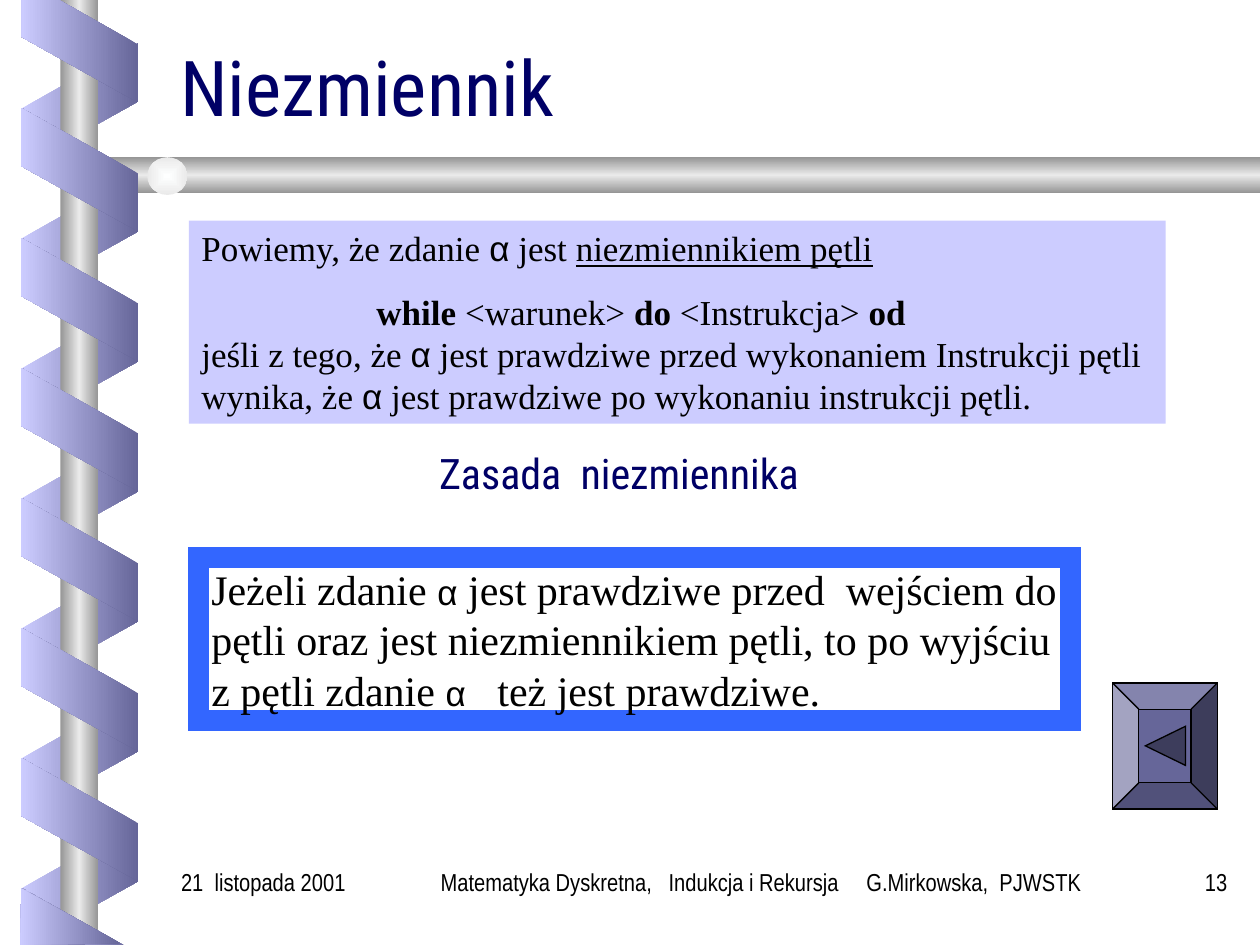
from dataclasses import dataclass
from typing import NamedTuple

from lxml import etree
from pptx import Presentation
from pptx.dml.color import RGBColor
from pptx.enum.shapes import MSO_SHAPE
from pptx.enum.text import MSO_ANCHOR, PP_ALIGN
from pptx.oxml.ns import qn
from pptx.util import Cm, Pt

RECT, OVAL = MSO_SHAPE.RECTANGLE, MSO_SHAPE.OVAL
SLANT, BEVEL = MSO_SHAPE.PARALLELOGRAM, MSO_SHAPE.BEVEL
ARROW = MSO_SHAPE.ISOSCELES_TRIANGLE
TOP, BOTTOM = MSO_ANCHOR.TOP, MSO_ANCHOR.BOTTOM
LEFT, CENTER, RIGHT = PP_ALIGN.LEFT, PP_ALIGN.CENTER, PP_ALIGN.RIGHT


@dataclass(frozen=True)
class Theme:
    ink: str = "000000"
    navy: str = "000066"
    light: str = "CCCCFF"
    dark: str = "666699"
    shade: str = "3D3D5C"
    frame: str = "3366FF"
    grey: str = "969696"
    shine: str = "EAEAEA"
    pearl: str = "FEFFFF"
    head: str = "Roboto Condensed"
    body: str = "Times New Roman"
    sign: str = "Arial"
    foot: str = "Arial Narrow"
    title: int = 44
    big: int = 24
    mid: int = 20
    small: int = 14


T = Theme()


class Box(NamedTuple):
    left: float
    top: float
    width: float
    height: float

    def cm(self) -> list:
        return [Cm(v) for v in self]


class Run(NamedTuple):
    text: str
    size: int = T.mid
    font: str = T.body
    color: str = T.ink
    bold: bool = False
    under: bool = False


class Para(NamedTuple):
    runs: list
    align: PP_ALIGN = LEFT
    before: float = 0
    indent: float = 0
    pitch: float = 1.0


class Note(NamedTuple):
    text: str
    box: Box
    align: PP_ALIGN


def blend(shape, stops: list, angle: int | None) -> None:
    """Fill with a gradient fixed to the slide; no angle means from the centre."""
    shape.fill.background()
    grad = etree.Element(qn("a:gradFill"), rotWithShape="0")
    parts = etree.SubElement(grad, qn("a:gsLst"))
    for i, color in enumerate(stops):
        pos = 100000 * i // (len(stops) - 1)
        stop = etree.SubElement(parts, qn("a:gs"), pos=str(pos))
        etree.SubElement(stop, qn("a:srgbClr"), val=color)
    if angle is None:
        way = etree.SubElement(grad, qn("a:path"), path="rect")
        etree.SubElement(way, qn("a:fillToRect"), l="50000", t="50000", r="50000", b="50000")
    else:
        etree.SubElement(grad, qn("a:lin"), ang=str(angle * 60000), scaled="0")
    props = shape.fill._xPr
    props.replace(props.find(qn("a:noFill")), grad)


def plain(shape, fill: str | None = None, line: str | None = None, width: float = 0.75):
    shape.shadow.inherit = False
    if fill:
        shape.fill.solid()
        shape.fill.fore_color.rgb = RGBColor.from_string(fill)
    else:
        shape.fill.background()
    if line:
        shape.line.color.rgb = RGBColor.from_string(line)
        shape.line.width = Pt(width)
        etree.SubElement(shape.line._get_or_add_ln(), qn("a:miter"), lim="800000")
    else:
        shape.line.fill.background()
    return shape


def form(shapes, kind, box: Box, **look):
    return plain(shapes.add_shape(kind, *box.cm()), **look)


def outline(shapes, dots: list):
    first, *rest = [(Cm(x), Cm(y)) for x, y in dots]
    pen = shapes.build_freeform(*first)
    pen.add_line_segments(rest, close=True)
    return plain(pen.convert_to_shape())


def write(shape, paras: list, anchor=TOP, wrap: bool = True) -> None:
    frame = shape.text_frame
    frame.word_wrap = wrap
    frame.vertical_anchor = anchor
    for i, para in enumerate(paras):
        line = frame.paragraphs[0] if i == 0 else frame.add_paragraph()
        line.alignment = para.align
        line.space_before = Pt(para.before)
        line.line_spacing = para.pitch
        if para.indent:
            line._p.get_or_add_pPr().set("marL", str(Cm(para.indent)))
        for part in para.runs:
            run = line.add_run()
            run.text = part.text
            font = run.font
            font.size, font.name = Pt(part.size), part.font
            font.bold, font.underline = part.bold, part.under
            font.color.rgb = RGBColor.from_string(part.color)


def strand(shapes, top: float, back: bool) -> None:
    """Draw the seven slanted bands of one side of the spiral."""
    for i in range(7):
        band = form(shapes, SLANT, Box(0.36, top + 2.62 * i, 2.49, 2.36))
        band.adjustments[0] = 0.56
        band.rotation = 90 if back else 270
        if back:
            band._element.spPr.xfrm.set("flipH", "1")
        blend(band, [T.light, T.dark] if back else [T.dark, T.light], 180)


def spiral(shapes) -> None:
    metal = [T.grey, T.shine, T.grey]
    strand(shapes, 0.94, True)
    blend(form(shapes, RECT, Box(1.22, 0, 0.76, 19.05)), metal, 180)
    bar = [(25.4, 3.17), (1.93, 3.17), (1.52, 3.53), (1.93, 3.89), (25.4, 3.89)]
    blend(outline(shapes, bar), metal, 90)
    blend(form(shapes, OVAL, Box(2.97, 3.17, 0.81, 0.76)), [T.pearl, T.shine], None)
    strand(shapes, 2.24, False)
    # Cut bands at the slide's top and bottom edges
    ends = [
        [(0.43, 0), (0.43, 0.74), (2.77, 2.06), (2.77, 0.89), (1.19, 0)],
        [(2.44, 19.02), (0.43, 17.91), (0.41, 19.05)],
    ]
    for dots in ends:
        blend(outline(shapes, dots), [T.dark, T.light], 180)


def main() -> None:
    deck = Presentation()
    deck.slide_width, deck.slide_height = Cm(25.4), Cm(19.05)
    slide = deck.slides.add_slide(deck.slide_layouts[5])
    shapes = slide.shapes
    spiral(shapes)

    # Title
    title = shapes.title
    title.left, title.top, title.width, title.height = Box(3.38, 1.17, 21.59, 1.6).cm()
    write(title, [Para([Run("Niezmiennik", T.title, T.head, T.navy)], pitch=0.8)], BOTTOM)

    # Rule in a thick frame
    rule = form(shapes, RECT, Box(4.01, 11.23, 17.58, 3.3), line=T.frame, width=12)
    alpha = Run("α", T.mid, T.sign)
    write(rule, [Para([
        Run("Jeżeli zdanie ", T.big), alpha,
        Run(" jest prawdziwe przed  wejściem do pętli oraz jest niezmiennikiem pętli, "
            "to po wyjściu z pętli zdanie ", T.big), alpha,
        Run("   też jest prawdziwe.", T.big)])])

    # Definition
    define = form(shapes, RECT, Box(3.81, 4.45, 19.69, 4.09), fill=T.light)
    write(define, [
        Para([Run("Powiemy, że zdanie "), alpha, Run(" jest "),
              Run("niezmiennikiem pętli", under=True)]),
        Para([Run("while", bold=True), Run(" <warunek> "), Run("do", bold=True),
              Run(" <Instrukcja> "), Run("od", bold=True)], before=12.5, indent=3.53),
        Para([Run("jeśli z tego, że "), alpha,
              Run(" jest prawdziwe przed wykonaniem Instrukcji pętli wynika, że "), alpha,
              Run(" jest prawdziwe po wykonaniu instrukcji pętli.")])])

    # Heading of the rule
    head = shapes.add_textbox(*Box(6.55, 8.89, 11.86, 1.6).cm())
    write(head, [Para([Run("Zasada  niezmiennika", T.big, T.head, T.navy)], CENTER)], wrap=False)

    # Back button
    key = form(shapes, BEVEL, Box(22.43, 13.77, 2.11, 2.54), fill=T.dark, line=T.ink)
    key.adjustments[0] = 0.25
    form(shapes, ARROW, Box(23.1, 14.63, 0.79, 0.81), fill=T.shade, line=T.ink).rotation = 270

    # Footer
    notes = [
        Note("Matematyka Dyskretna,   Indukcja i Rekursja     G.Mirkowska,  PJWSTK",
             Box(8.05, 17.35, 14.6, 1.27), CENTER),
        Note("13", Box(22.86, 17.35, 2.13, 1.27), RIGHT),
        Note("21  listopada 2001", Box(3.4, 17.35, 4.42, 1.27), LEFT),
    ]
    for note in notes:
        area = shapes.add_textbox(*note.box.cm())
        write(area, [Para([Run(note.text, T.small, T.foot)], note.align)])

    deck.save("out.pptx")


if __name__ == "__main__":
    main()
